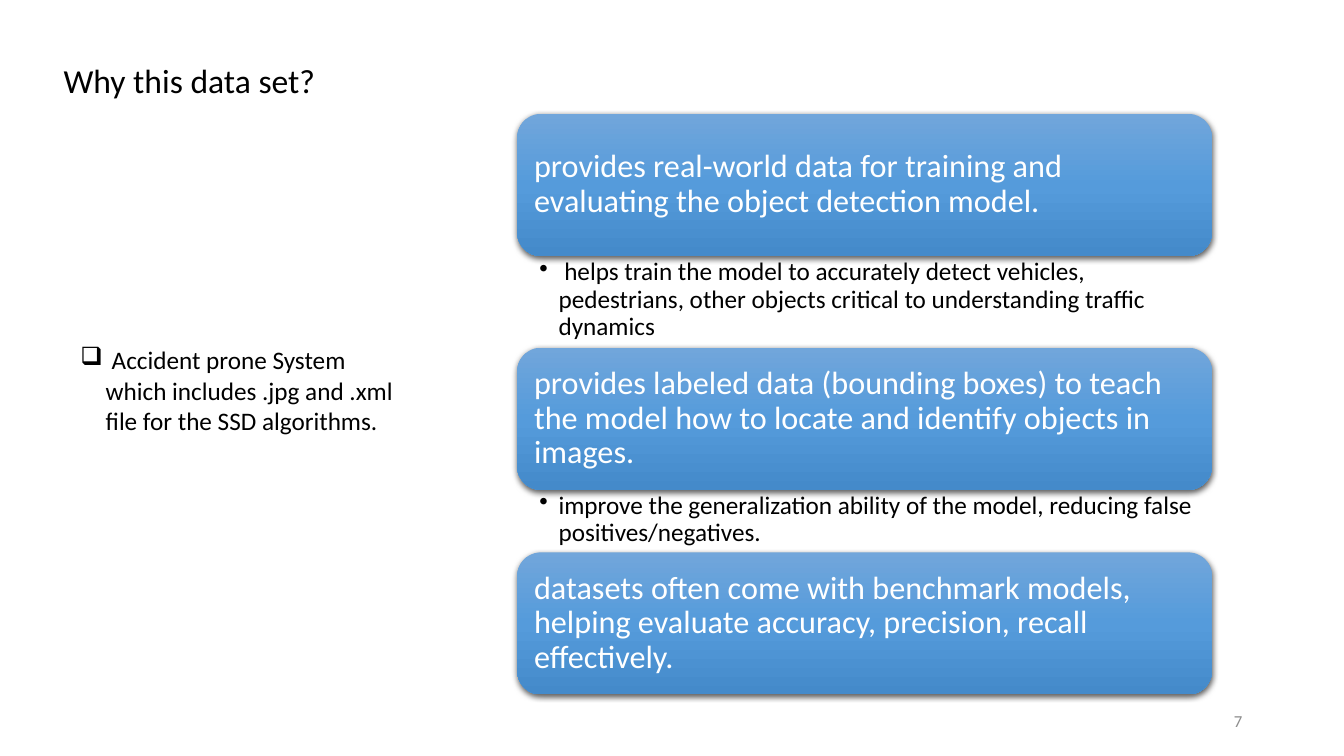
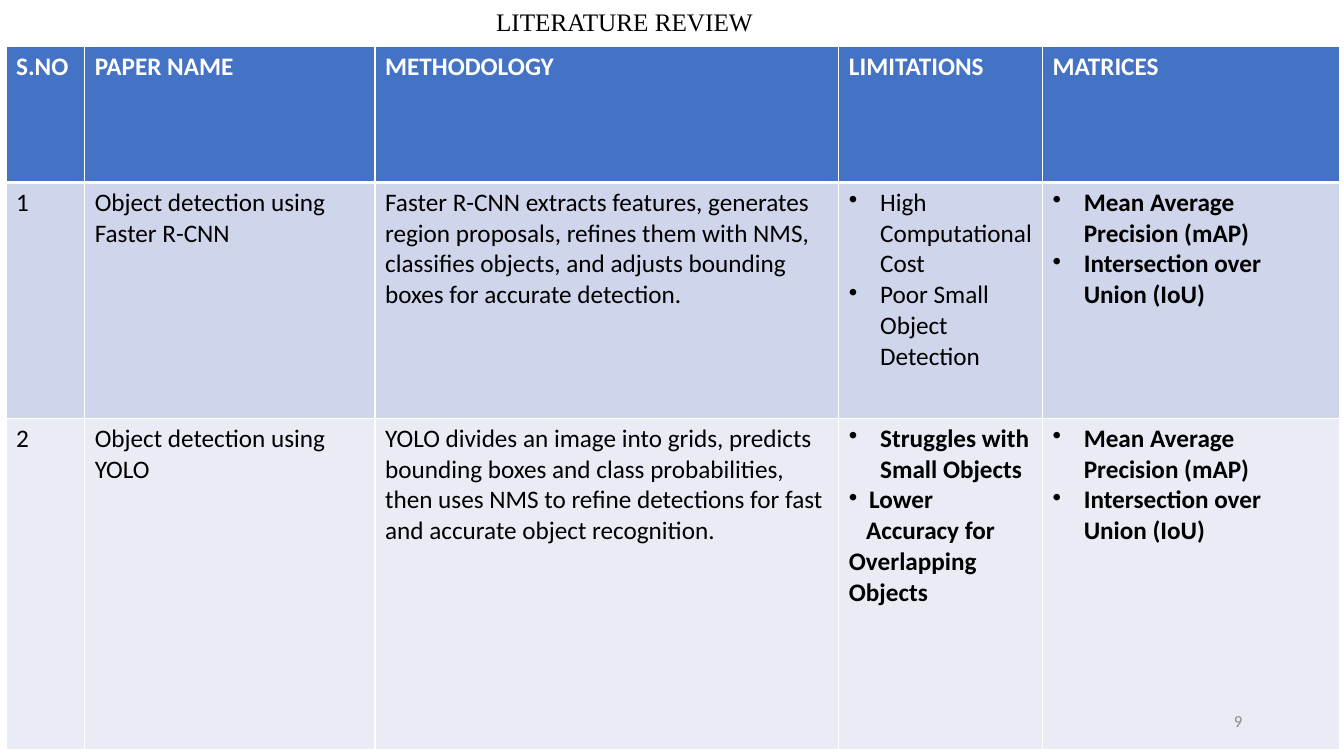
import pptx
import pptx.dml.color
import pptx.enum.shapes
import pptx.enum.text
import pptx.oxml
import pptx.oxml.ns
import pptx.util

Inches = pptx.util.Inches
Pt = pptx.util.Pt
RGB = pptx.dml.color.RGBColor
ALIGN = pptx.enum.text.PP_ALIGN
ANCHOR = pptx.enum.text.MSO_ANCHOR

BLACK = RGB(0x00, 0x00, 0x00)
WHITE = RGB(0xFF, 0xFF, 0xFF)
GRAY = RGB(0x8C, 0x8C, 0x8C)
HEAD = RGB(0x44, 0x72, 0xC4)
BANDS = [RGB(0xCF, 0xD5, 0xEA), RGB(0xE9, 0xEB, 0xF5)]
STOPS = {0: RGB(0x71, 0xA6, 0xDB), 50: RGB(0x55, 0x9B, 0xDB), 100: RGB(0x44, 0x8A, 0xCA)}

BODY = {"name": "Calibri", "size": Pt(18), "bold": False}
BOLD = {**BODY, "bold": True}
TITLE = {**BODY, "size": Pt(24)}
SERIF = {**BODY, "name": "Times New Roman"}
CARD = {**BODY, "size": Pt(23)}
NUMBER = {**BODY, "size": Pt(12)}

NS = pptx.oxml.ns.nsdecls("a")
HANG = 0.31

CARDS = [
    ("provides real-world data for training and evaluating the object detection model.",
     " helps train the model to accurately detect vehicles, pedestrians,\u00a0other objects "
     "critical to understanding traffic dynamics", 0.91),
    ("provides labeled data (bounding boxes) to teach the model how to locate and identify "
     "objects in images.",
     "improve the generalization ability of the model, reducing false positives/negatives.", 0.62),
    ("datasets often come with benchmark models, helping evaluate accuracy, precision, "
     "recall effectively.", None, 0),
]


def plain(*lines):
    return [(line, 0, 0, None) for line in lines]


def dots(*lines, hang=HANG):
    return [(line, hang, -hang, "•") for line in lines]


SCORES = dots("Mean Average Precision (mAP)", "Intersection over Union (IoU)")
COLS = [0.78, 2.88, 4.6, 2.02, 2.95]
ROWS = [1.35, 2.34, 3.29]
LABELS = ["S.NO", "PAPER NAME", "METHODOLOGY", "LIMITATIONS", "MATRICES"]
GRID = [
    [(plain(label), BOLD) for label in LABELS],
    [(plain("1"), BODY),
     (plain("Object detection using", "Faster R-CNN"), BODY),
     (plain("Faster R-CNN extracts features, generates region proposals, refines them with NMS, "
            "classifies objects, and adjusts bounding boxes for accurate detection."), BODY),
     (dots("High Computational Cost", "Poor Small Object Detection"), BODY),
     (SCORES, BOLD)],
    [(plain("2"), BODY),
     (plain("Object detection using YOLO"), BODY),
     (plain("YOLO divides an image into grids, predicts bounding boxes and class probabilities, "
            "then uses NMS to refine detections for fast and accurate object recognition."), BODY),
     (dots("Struggles with Small Objects") + dots("Lower", hang=0.2)
      + [("Accuracy for Overlapping Objects", 0, 0.17, None)], BOLD),
     (SCORES, BOLD)],
]


def style(thing, form):
    for key, value in form.items():
        setattr(thing, key, value)


def write(frame, lines, font, color=BLACK, align=ALIGN.LEFT, space=None):
    for i, (text, left, first, mark) in enumerate(lines):
        para = frame.paragraphs[0] if i == 0 else frame.add_paragraph()
        style(para, {"alignment": align, "line_spacing": space})
        props = para._p.get_or_add_pPr()
        if left or first:
            props.set("marL", str(Inches(left)))
            props.set("indent", str(Inches(first)))
        if mark:
            props.append(pptx.oxml.parse_xml(f'<a:buChar {NS} char="{mark}"/>'))
        run = para.add_run()
        run.text = text
        style(run.font, font)
        run.font.color.rgb = color


def frame_up(shape, anchor, pads=(0.1, 0.05, 0.1, 0.05)):
    frame = shape.text_frame
    style(frame, {"word_wrap": True, "vertical_anchor": anchor})
    sides = ["margin_left", "margin_top", "margin_right", "margin_bottom"]
    style(frame, dict(zip(sides, map(Inches, pads))))
    return frame


def add_box(slide, area, lines, font, anchor=ANCHOR.TOP, pads=(0.1, 0.05, 0.1, 0.05), **look):
    box = slide.shapes.add_textbox(*map(Inches, area))
    write(frame_up(box, anchor, pads), lines, font, **look)


def add_card(slide, area, text):
    kind = pptx.enum.shapes.MSO_SHAPE.ROUNDED_RECTANGLE
    card = slide.shapes.add_shape(kind, *map(Inches, area))
    card.line.fill.background()
    stops = "".join(f'<a:gs pos="{at * 1000}"><a:srgbClr val="{color}"/></a:gs>'
                    for at, color in STOPS.items())
    fill = pptx.oxml.parse_xml(
        f'<a:gradFill {NS} rotWithShape="1"><a:gsLst>{stops}</a:gsLst>'
        '<a:lin ang="5400000" scaled="0"/></a:gradFill>')
    shade = pptx.oxml.parse_xml(
        f'<a:effectLst {NS}><a:outerShdw blurRad="{Pt(4.5)}" dist="{Pt(1.5)}" dir="5400000" '
        f'algn="ctr" rotWithShape="0"><a:srgbClr val="{BLACK}"><a:alpha val="63000"/>'
        '</a:srgbClr></a:outerShdw></a:effectLst>')
    props = card._element.spPr
    props.find(pptx.oxml.ns.qn("a:ln")).addprevious(fill)
    props.append(shade)
    frame = frame_up(card, ANCHOR.MIDDLE, [0.1] * 4)
    write(frame, plain(text), CARD, WHITE, space=0.9)


def add_edge(cell, above, below):
    widths = {"lnL": 1, "lnR": 1, "lnT": above, "lnB": below}
    props = cell._tc.get_or_add_tcPr()
    for i, (side, width) in enumerate(widths.items()):
        props.insert(i, pptx.oxml.parse_xml(
            f'<a:{side} {NS} w="{Pt(width)}"><a:solidFill><a:srgbClr val="{WHITE}"/>'
            f'</a:solidFill></a:{side}>'))


def add_grid(slide, left, top):
    area = map(Inches, (left, top, sum(COLS), sum(ROWS)))
    table = slide.shapes.add_table(len(ROWS), len(COLS), *area).table
    for col, width in zip(table.columns, COLS):
        col.width = Inches(width)
    for r, (row, height) in enumerate(zip(table.rows, ROWS)):
        row.height = Inches(height)
        for cell, (lines, font) in zip(row.cells, GRID[r]):
            cell.fill.solid()
            cell.fill.fore_color.rgb = BANDS[r - 1] if r else HEAD
            add_edge(cell, 3 if r == 1 else 1, 1 if r else 3)
            write(cell.text_frame, lines, font, BLACK if r else WHITE)


def add_slide(deck, text, area, font):
    slide = deck.slides.add_slide(deck.slide_layouts[5])
    title = slide.shapes.title
    sides = ["left", "top", "width", "height"]
    style(title, dict(zip(sides, map(Inches, area))))
    write(frame_up(title, ANCHOR.MIDDLE), plain(text), font, space=0.9)
    return slide


def add_number(slide, number):
    add_box(slide, (9.42, 6.95, 3, 0.4), plain(number), NUMBER, ANCHOR.MIDDLE,
            color=GRAY, align=ALIGN.RIGHT)


def add_cards(slide, left, top, width, height):
    for text, note, depth in CARDS:
        add_card(slide, (left, top, width, height), text)
        top += height
        if note:
            add_box(slide, (left, top, width, depth), dots(note, hang=0.19), BODY,
                    pads=(0.22, 0.03, 0.18, 0.03), space=0.9)
        top += depth


def main():
    deck = pptx.Presentation()
    style(deck, {"slide_width": Inches(13.33), "slide_height": Inches(7.5)})

    reason = add_slide(deck, "Why this data set?", (0.53, 0.4, 11.5, 0.83), TITLE)
    add_cards(reason, 5.13, 1.13, 6.89, 1.41)
    add_box(reason, (0.7, 3.37, 3.56, 1.01),
            [("Accident prone System", HANG, -HANG, "❑"),
             ("which includes .jpg and .xml file for the SSD algorithms.", 0.25, 0, None)], BODY)
    add_number(reason, "7")

    review = add_slide(deck, "LITERATURE REVIEW", (4.82, 0, 4.36, 0.46), SERIF)
    add_grid(review, 0.06, 0.46)
    add_number(review, "9")

    deck.save("out.pptx")


if __name__ == "__main__":
    main()
